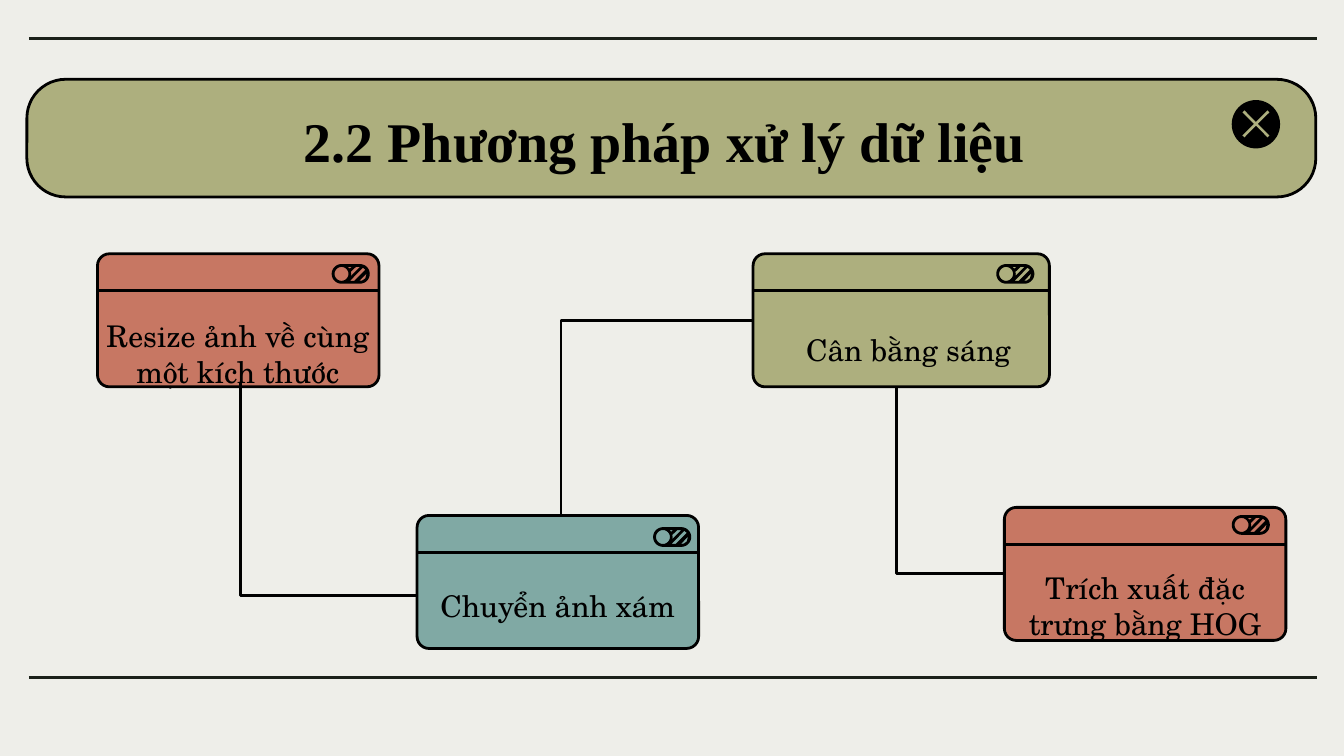
from math import cos, pi, sin

from lxml import etree
from pptx import Presentation
from pptx.dml.color import RGBColor
from pptx.enum.shapes import MSO_CONNECTOR, MSO_SHAPE
from pptx.enum.text import MSO_ANCHOR, PP_ALIGN
from pptx.oxml.ns import qn
from pptx.util import Inches, Pt

ROUND = MSO_SHAPE.ROUNDED_RECTANGLE
OVAL = MSO_SHAPE.OVAL
STRAIGHT = MSO_CONNECTOR.STRAIGHT
ELBOW = MSO_CONNECTOR.ELBOW
CENTER = PP_ALIGN.CENTER
MIDDLE = MSO_ANCHOR.MIDDLE

COLORS = {
    "paper": "EEEEE9",
    "ink": "000000",
    "rule": "1B2119",
    "olive": "ADAF7E",
    "coral": "C77763",
    "teal": "80A9A4",
}
COLS, ROWS = 100, 56.25
CELL = Inches(0.1)


def arc(cx, cy, radius, start, end, steps=24):
    angles = [start + (end - start) * i / steps for i in range(steps + 1)]
    return [(cx + radius * cos(a), cy + radius * sin(a)) for a in angles]


TOGGLE = [
    arc(0.73, 0.73, 0.73, pi / 2, 3 * pi / 2) + arc(2.1, 0.73, 0.73, -pi / 2, pi / 2),
    arc(0.73, 0.73, 0.52, 0, 2 * pi),
    [(1.5, 0.21), (1.34, 0.34), (1.2, 0.21)],
    [(2.1, 0.21), (1.42, 0.9), (1.45, 0.73), (1.42, 0.58), (1.8, 0.21)],
    [(2.32, 0.27), (2.5, 0.42), (1.68, 1.25), (1.36, 1.25)],
    [(2.6, 0.7), (2.5, 1.06), (2.28, 1.22), (2.06, 1.25)],
]
CROSS = [[
    (0.15, 0), (0, 0.15), (0.87, 1), (0, 1.87), (0.15, 2), (1, 1.13),
    (1.87, 2), (2, 1.87), (1.13, 1), (2, 0.15), (1.87, 0), (1, 0.87),
]]


class Deck:
    body_font = "TeX Gyre Schola"
    title_font = "Times New Roman"
    line_width = Pt(1.5)

    def __init__(self):
        self.prs = Presentation()
        self.prs.slide_width = self.cells(COLS)
        self.prs.slide_height = self.cells(ROWS)
        self.s = self.prs.slides.add_slide(self.prs.slide_layouts[6])
        self.paint(self.s.background.fill, "paper")

    def cells(self, n):
        return round(n * CELL)

    def paint(self, fill, color):
        fill.solid()
        fill.fore_color.rgb = RGBColor.from_string(COLORS[color])

    def shape(self, kind, x, y, w, h, fill, corner=None):
        sp = self.s.shapes.add_shape(kind, *map(self.cells, (x, y, w, h)))
        sp.shadow.inherit = False
        self.paint(sp.fill, fill)
        if corner is None:
            sp.line.fill.background()
        else:
            sp.adjustments[0] = corner
            self.paint(sp.line.fill, "ink")
            sp.line.width = self.line_width

    def line(self, x1, y1, x2, y2, color="ink", kind=STRAIGHT):
        sp = self.s.shapes.add_connector(kind, *map(self.cells, (x1, y1, x2, y2)))
        self.paint(sp.line.fill, color)
        sp.line.width = self.line_width
        etree.SubElement(sp._element.spPr, qn("a:effectLst"))
        return sp

    def elbow(self, x1, y1, x2, y2):
        sp = self.line(x1, y1, x2, y2, kind=ELBOW)
        sp._element.spPr.find(qn("a:prstGeom")).set("prst", "bentConnector2")

    def icon(self, outlines, x, y, color):
        paths = [[(self.cells(x + dx), self.cells(y + dy)) for dx, dy in outline]
                 for outline in outlines]
        fb = self.s.shapes.build_freeform(*paths[0][0])
        for i, points in enumerate(paths):
            if i:
                fb.move_to(*points[0])
            fb.add_line_segments(points[1:], close=True)
        sp = fb.convert_to_shape()
        sp.shadow.inherit = False
        self.paint(sp.fill, color)
        sp.line.fill.background()

    def text(self, x, y, w, h, words, font, size, bold=False, spacing=1.0, after=0):
        sp = self.s.shapes.add_textbox(*map(self.cells, (x, y, w, h)))
        tf = sp.text_frame
        tf.word_wrap = True
        tf.vertical_anchor = MIDDLE
        tf.margin_left = tf.margin_right = tf.margin_top = tf.margin_bottom = CELL
        p = tf.paragraphs[0]
        p.text = words
        p.alignment = CENTER
        p.line_spacing = spacing
        p.space_after = Pt(after)
        p.font.name = font
        p.font.size = Pt(size)
        p.font.bold = bold
        p.font.color.rgb = RGBColor.from_string(COLORS["ink"])

    def card(self, x, y, w, color, words, text_at, toggle_at):
        self.shape(ROUND, x, y, w, 9.9, color, 0.09)
        self.line(x, y + 2.75, x + w, y + 2.75)
        self.text(*text_at, 23, 6.3, words, self.body_font, 16, after=16)
        self.icon(TOGGLE, *toggle_at, "ink")


def main():
    deck = Deck()
    deck.shape(ROUND, 2, 5.9, 95.9, 8.75, "olive", 0.33)
    for y in (50.4, 2.85):
        deck.line(2.15, y, 98, y, "rule")
    deck.text(7.25, 7.95, 84.4, 6.2, "2.2 Phương pháp xử lý dữ liệu",
              deck.title_font, 30, bold=True, spacing=0.7)
    deck.shape(OVAL, 91.65, 7.45, 3.6, 3.6, "ink")
    deck.icon(CROSS, 92.45, 8.22, "olive")

    cards = [
        (7.25, 18.88, 20.95, "coral", "Resize ảnh về cùng một kích thước", (6.2, 23.15), (24.68, 19.65)),
        (31.03, 38.35, 20.95, "teal", "Chuyển ảnh xám", (30, 41.9), (48.6, 39.23)),
        (56.03, 18.88, 22.05, "olive", "Cân bằng sáng", (56.1, 22.85), (74.13, 19.65)),
        (74.73, 37.75, 20.95, "coral", "Trích xuất đặc trưng bằng HOG", (73.7, 41.9), (91.65, 38.33)),
    ]
    for card in cards:
        deck.card(*card)

    for route in [(31, 44.3, 17.87, 28.4), (56, 23.83, 41.75, 38.35), (74.7, 42.67, 66.7, 28.8)]:
        deck.elbow(*route)

    deck.prs.save("out.pptx")


if __name__ == "__main__":
    main()
